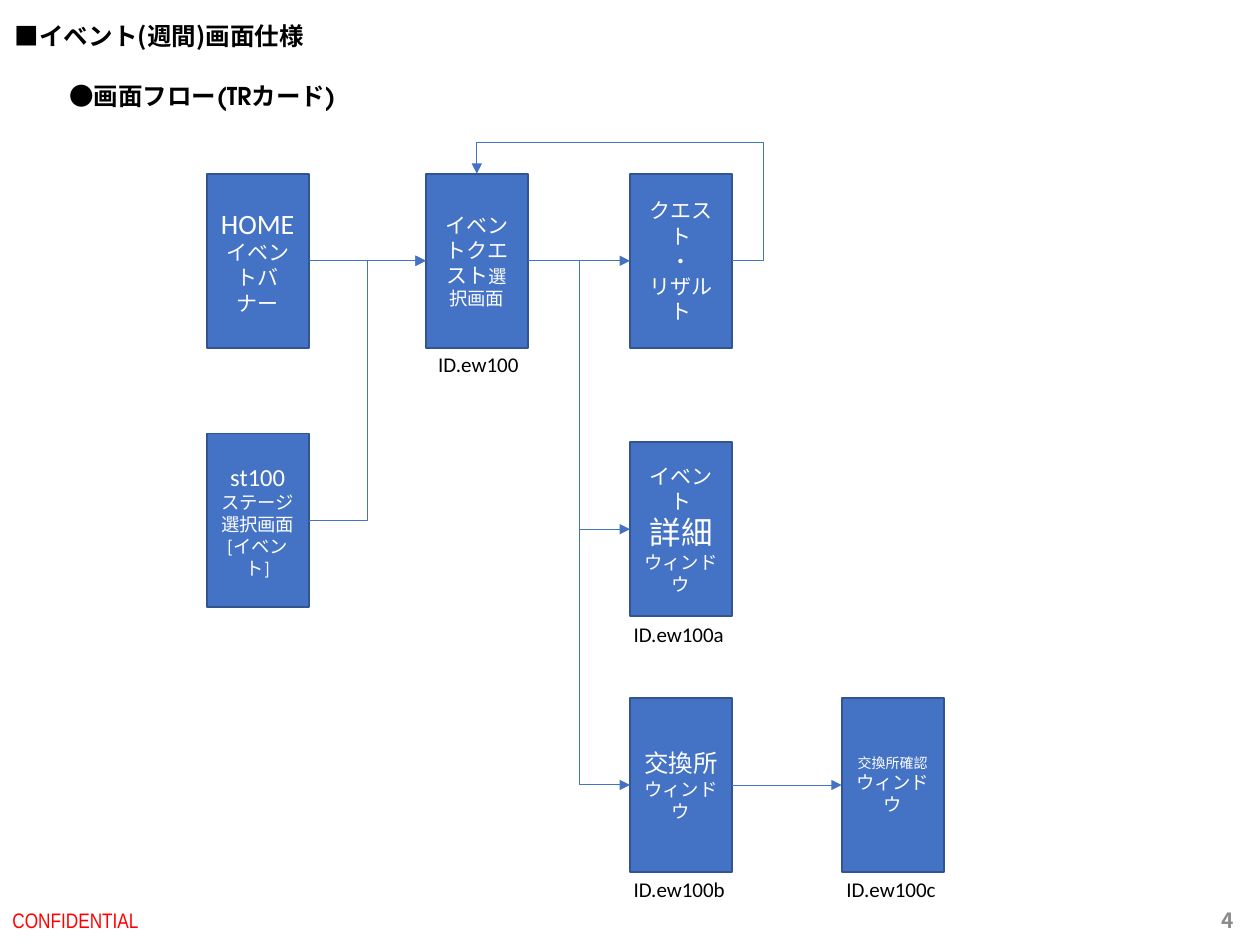
from lxml import etree
from pptx import Presentation
from pptx.dml.color import RGBColor
from pptx.enum.shapes import MSO_CONNECTOR, MSO_SHAPE
from pptx.enum.text import MSO_ANCHOR, PP_ALIGN
from pptx.oxml.ns import qn
from pptx.util import Inches, Pt

STRAIGHT, ELBOW = MSO_CONNECTOR.STRAIGHT, MSO_CONNECTOR.ELBOW
RECTANGLE = MSO_SHAPE.RECTANGLE
TOP, MIDDLE = MSO_ANCHOR.TOP, MSO_ANCHOR.MIDDLE
LEFT, CENTER, RIGHT = PP_ALIGN.LEFT, PP_ALIGN.CENTER, PP_ALIGN.RIGHT
COLORS = {
    "screen": "4472C4", "border": "325491", "white": "FFFFFF",
    "black": "000000", "red": "FF0000", "gray": "8C8C8C",
}
BOX_W, BOX_H = 0.81, 1.38
SITE_TOP, SITE_LEFT, SITE_RIGHT = 0, 1, 3


def color(name):
    return RGBColor.from_string(COLORS[name])


def write(frame, paragraphs, font, ink, align=LEFT, anchor=TOP, bold=False):
    """Fill a text frame; each paragraph is a list of (text, size) runs."""
    frame.word_wrap = True
    frame.vertical_anchor = anchor
    for i, runs in enumerate(paragraphs):
        paragraph = frame.add_paragraph() if i else frame.paragraphs[0]
        paragraph.alignment = align
        for text, size in runs:
            run = paragraph.add_run()
            run.text = text
            run.font.size = Pt(size)
            run.font.name = font
            run.font.bold = bold
            run.font.color.rgb = color(ink)


prs = Presentation()
prs.slide_width, prs.slide_height = Inches(10), Inches(7.5)
slide = prs.slides.add_slide(prs.slide_layouts[6])
shapes = slide.shapes

# Headings, footer and screen IDs
JP, CALIBRI = "Noto Sans CJK JP", "Calibri"
labels = [
    (7.64, 7.1, 2.25, 0.4, "4", 12, JP, "gray", RIGHT, MIDDLE, True),
    (0, 7.1, 3.38, 0.4, "CONFIDENTIAL", 12, "Arial Narrow", "red", LEFT, MIDDLE, False),
    (0.02, 0.12, 2.55, 0.34, "■イベント(週間)画面仕様", 14, JP, "black", LEFT, TOP, True),
    (0.45, 0.59, 2.32, 0.34, "●画面フロー(TRカード)", 14, "TeX Gyre Adventor", "black",
     LEFT, TOP, True),
]
for x, y, screen_id in [(3.38, 2.74, "ID.ew100"), (4.93, 4.88, "ID.ew100a"),
                        (4.93, 6.91, "ID.ew100b"), (6.62, 6.91, "ID.ew100c")]:
    labels.append((x, y, 0.94, 0.3, screen_id, 12, CALIBRI, "black", LEFT, TOP, False))
for x, y, w, h, text, size, font, ink, align, anchor, bold in labels:
    label = shapes.add_textbox(Inches(x), Inches(y), Inches(w), Inches(h))
    write(label.text_frame, [[(text, size)]], font, ink, align, anchor, bold)

# Screens
screen_specs = {
    "home": (1.64, 1.38, [[("HOME", 16)], [("イベントバナー", 12)]]),
    "stage": (1.64, 3.44, [[("st100", 14)], [("ステージ選択画面", 10.5)],
                           [("[イベント]", 10.5)]]),
    "quest": (3.38, 1.38, [[("イベントクエスト", 12), ("選択画面", 10.5)]]),
    "detail": (5, 3.51, [[("イベント", 12)], [("詳細", 18), ("ウィンドウ", 10.5)]]),
    "exchange": (5, 5.54, [[("交換所", 14), ("ウィンドウ", 10.5)]]),
    "result": (5, 1.38, [[("クエスト", 12)], [("・", 12)], [("リザルト", 12)]]),
    "confirm": (6.68, 5.54, [[("交換所確認", 8), ("ウィンドウ", 10.5)]]),
}
screens = {}
for key, (x, y, paragraphs) in screen_specs.items():
    screen = shapes.add_shape(RECTANGLE, Inches(x), Inches(y), Inches(BOX_W), Inches(BOX_H))
    screen.shadow.inherit = False
    screen.fill.solid()
    screen.fill.fore_color.rgb = color("screen")
    screen.line.color.rgb = color("border")
    screen.line.width = Pt(1)
    write(screen.text_frame, paragraphs, CALIBRI, "white", CENTER, MIDDLE)
    screens[key] = screen

# Transitions
transitions = [
    ("stage", "quest", ELBOW, SITE_LEFT),
    ("quest", "detail", ELBOW, SITE_LEFT),
    ("quest", "exchange", ELBOW, SITE_LEFT),
    ("home", "quest", STRAIGHT, SITE_LEFT),
    ("quest", "result", STRAIGHT, SITE_LEFT),
    ("exchange", "confirm", STRAIGHT, SITE_LEFT),
    ("result", "quest", ELBOW, SITE_TOP),
]
for source, target, kind, site in transitions:
    arrow = shapes.add_connector(kind, 0, 0, 0, 0)
    arrow.begin_connect(screens[source], SITE_RIGHT)
    arrow.end_connect(screens[target], site)
    arrow.line.color.rgb = color("screen")
    arrow.line.width = Pt(0.5)
    properties = arrow._element.spPr
    etree.SubElement(properties.find(qn("a:ln")), qn("a:tailEnd"), type="triangle")
    etree.SubElement(properties, qn("a:effectLst"))
    if site == SITE_TOP:  # the way back loops around the result screen
        geometry = properties.find(qn("a:prstGeom"))
        geometry.set("prst", "bentConnector4")
        guides = geometry.find(qn("a:avLst"))
        for name, value in [("adj1", -12400), ("adj2", 136400)]:
            etree.SubElement(guides, qn("a:gd"), name=name, fmla=f"val {value}")

prs.save("out.pptx")
